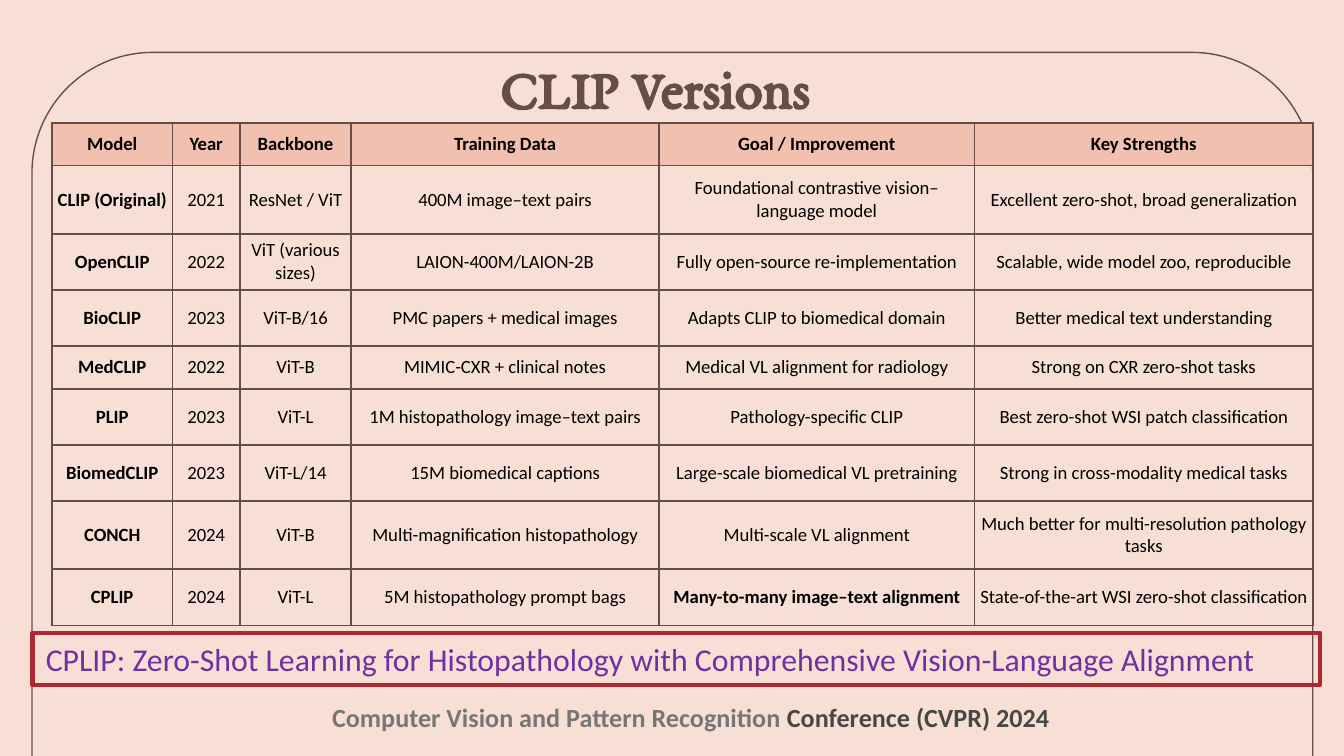
"""Build a slide that compares CLIP versions in a table."""
from lxml import etree
from pptx import Presentation
from pptx.dml.color import RGBColor
from pptx.enum.shapes import MSO_SHAPE
from pptx.enum.text import MSO_ANCHOR, PP_ALIGN
from pptx.oxml.ns import qn
from pptx.util import Inches, Pt

CENTER, LEFT = PP_ALIGN.CENTER, PP_ALIGN.LEFT
MIDDLE, TOP = MSO_ANCHOR.MIDDLE, MSO_ANCHOR.TOP
RECTANGLE, ROUND_TOP = MSO_SHAPE.RECTANGLE, MSO_SHAPE.ROUND_2_SAME_RECTANGLE

WIDTH = Inches(10)
HEIGHT = WIDTH * 9 // 16
BODY_FONT, TITLE_FONT = "Calibri", "EB Garamond"
COLORS = {
    "background": "F8DFD6", "brown": "694B48", "header": "F1C0AF", "black": "000000",
    "red": "AF2730", "purple": "7030A0", "gray": "767676", "dark": "474747",
}

TITLE = "CLIP Versions"
HEADER = ("Model", "Year", "Backbone", "Training Data", "Goal / Improvement", "Key Strengths")
MODELS = [
    ("CLIP (Original)", "2021", "ResNet / ViT", "400M image–text pairs",
     "Foundational contrastive vision–language model", "Excellent zero-shot, broad generalization"),
    ("OpenCLIP", "2022", "ViT (various sizes)", "LAION-400M/LAION-2B",
     "Fully open-source re-implementation", "Scalable, wide model zoo, reproducible"),
    ("BioCLIP", "2023", "ViT-B/16", "PMC papers + medical images",
     "Adapts CLIP to biomedical domain", "Better medical text understanding"),
    ("MedCLIP", "2022", "ViT-B", "MIMIC-CXR + clinical notes",
     "Medical VL alignment for radiology", "Strong on CXR zero-shot tasks"),
    ("PLIP", "2023", "ViT-L", "1M histopathology image–text pairs",
     "Pathology-specific CLIP", "Best zero-shot WSI patch classification"),
    ("BiomedCLIP", "2023", "ViT-L/14", "15M biomedical captions",
     "Large-scale biomedical VL pretraining", "Strong in cross-modality medical tasks"),
    ("CONCH", "2024", "ViT-B", "Multi-magnification histopathology",
     "Multi-scale VL alignment", "Much better for multi-resolution pathology tasks"),
    ("CPLIP", "2024", "ViT-L", "5M histopathology prompt bags",
     "Many-to-many image–text alignment", "State-of-the-art WSI zero-shot classification"),
]
HIGHLIGHT = "Many-to-many image–text alignment"
BANNER = "CPLIP: Zero-Shot Learning for Histopathology with Comprehensive Vision-Language Alignment"
VENUE = [("Computer Vision and Pattern Recognition", "gray"), (" Conference (CVPR) 2024", "dark")]

COLUMN_WEIGHTS = (0.9, 0.5, 0.83, 2.29, 2.35, 2.52)
ROW_WEIGHTS = (0.32, 0.51, 0.42, 0.42, 0.32, 0.42, 0.42, 0.51, 0.42)
PERCENT_AREAS = {
    "frame": (2.38, 6.93, 95.3, 95.64),
    "title": (6.6, 5.16, 84.3, 11.2),
    "table": (3.85, 16.25, 93.85, 66.49),
    "banner": (2.42, 83.73, 95.8, 6.93),
    "venue": (23.72, 91.91, 59.5, 6.04),
}


def color(name):
    return RGBColor.from_string(COLORS[name])


def area(name):
    return [round(share * size / 100)
            for share, size in zip(PERCENT_AREAS[name], (WIDTH, HEIGHT) * 2)]


def write(frame, spans, *, size, font=BODY_FONT, bold=False, align=LEFT, anchor=TOP,
          margins=(0.1, 0.05)):
    frame.word_wrap = True
    frame.vertical_anchor = anchor
    frame.margin_left = frame.margin_right = Inches(margins[0])
    frame.margin_top = frame.margin_bottom = Inches(margins[1])
    para = frame.paragraphs[0]
    para.alignment = align
    for text, tint in spans:
        span = para.add_run()
        span.text = text
        span.font.name, span.font.size, span.font.bold = font, Pt(size), bold
        span.font.color.rgb = color(tint)


def add_outline(page, kind, name, tint, weight):
    shape = page.shapes.add_shape(kind, *area(name))
    shape.shadow.inherit = False
    shape.fill.background()
    shape.line.color.rgb = color(tint)
    shape.line.width = Pt(weight)
    return shape


def add_borders(cell, tint, weight):
    properties = cell._tc.get_or_add_tcPr()
    for position, side in enumerate(("lnL", "lnR", "lnT", "lnB")):
        line = etree.Element(qn(f"a:{side}"), w=str(Pt(weight)))
        fill = etree.SubElement(line, qn("a:solidFill"))
        etree.SubElement(fill, qn("a:srgbClr"), val=COLORS[tint])
        properties.insert(position, line)


def add_models(page):
    rows = [HEADER] + MODELS
    left, top, width, height = area("table")
    table = page.shapes.add_table(len(rows), len(HEADER), left, top, width, height).table
    for column, weight in zip(table.columns, COLUMN_WEIGHTS):
        column.width = round(width * weight / sum(COLUMN_WEIGHTS))
    for row, weight in zip(table.rows, ROW_WEIGHTS):
        row.height = round(height * weight / sum(ROW_WEIGHTS))
    for row_index, texts in enumerate(rows):
        for column_index, text in enumerate(texts):
            cell = table.cell(row_index, column_index)
            if row_index == 0:
                cell.fill.solid()
                cell.fill.fore_color.rgb = color("header")
            else:
                cell.fill.background()
            add_borders(cell, "brown", 1)
            bold = row_index == 0 or column_index == 0 or text == HIGHLIGHT
            write(cell.text_frame, [(text, "black")], size=10, bold=bold, align=CENTER)
            cell.vertical_anchor = MIDDLE
            cell.margin_left = cell.margin_right = Pt(2.5)
            cell.margin_top = cell.margin_bottom = Inches(0.02)


def main():
    deck = Presentation()
    deck.slide_width, deck.slide_height = WIDTH, HEIGHT
    page = deck.slides.add_slide(deck.slide_layouts[6])
    page.background.fill.solid()
    page.background.fill.fore_color.rgb = color("background")

    frame = add_outline(page, ROUND_TOP, "frame", "brown", 0.75)
    frame.adjustments[0] = 0.167
    title = page.shapes.add_textbox(*area("title"))
    write(title.text_frame, [(TITLE, "brown")], size=30, font=TITLE_FONT, bold=True,
          align=CENTER, margins=(0.1, 0.1))
    add_models(page)
    banner = add_outline(page, RECTANGLE, "banner", "red", 2.25)
    write(banner.text_frame, [(BANNER, "purple")], size=17)
    venue = page.shapes.add_textbox(*area("venue"))
    write(venue.text_frame, VENUE, size=14, bold=True)
    deck.save("out.pptx")


if __name__ == "__main__":
    main()
